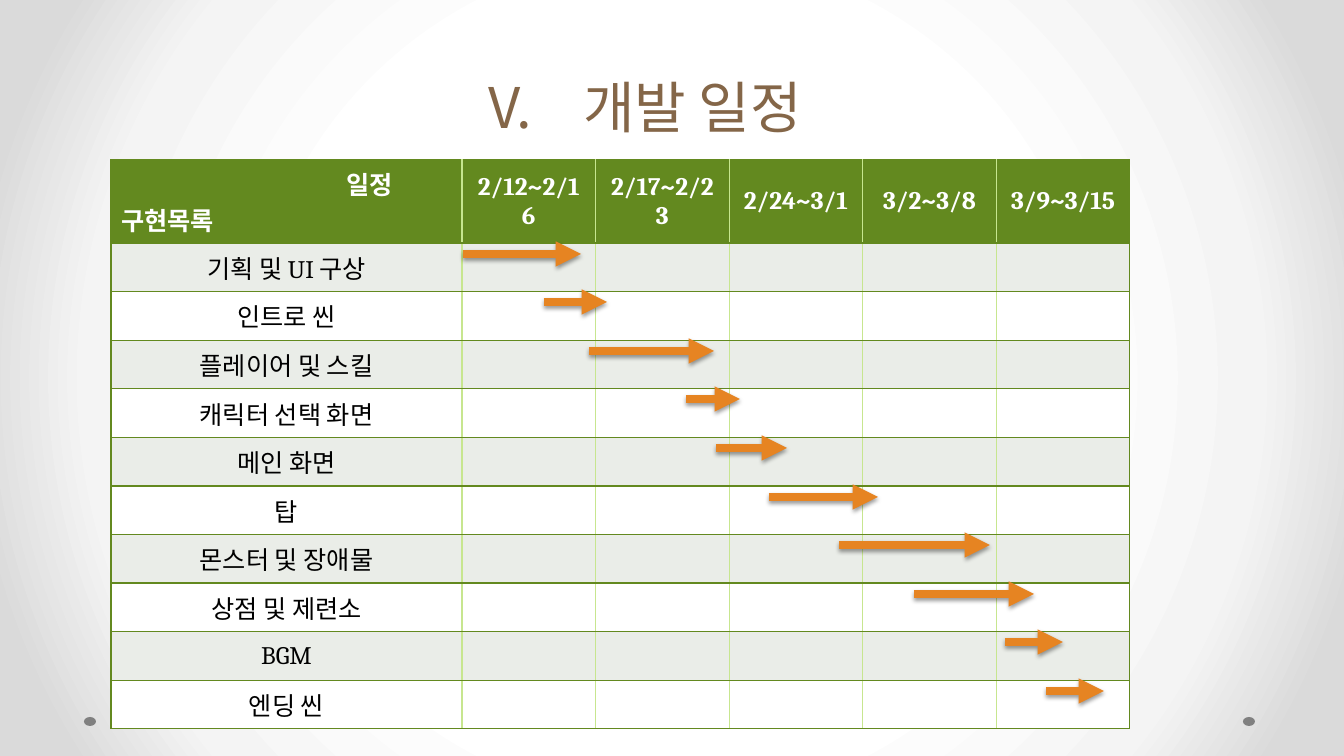
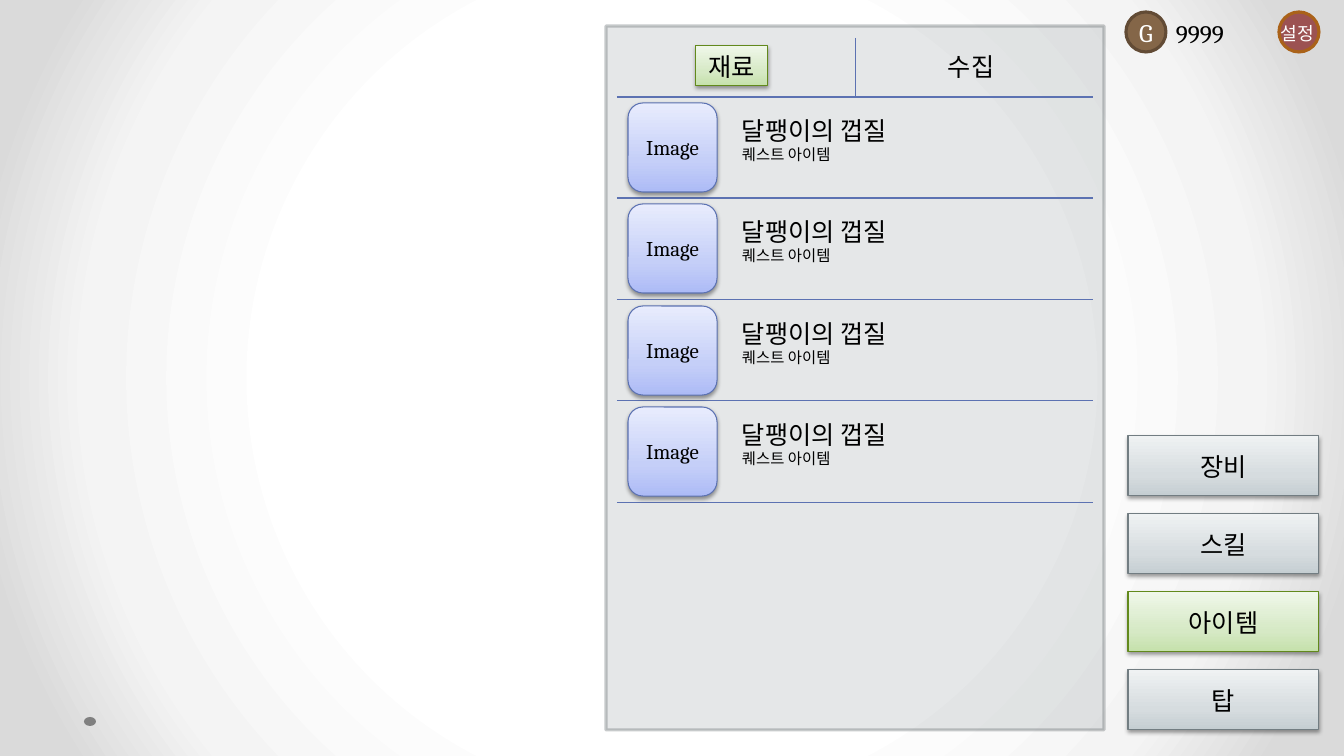
from lxml.etree import SubElement
from pptx import Presentation
from pptx.dml.color import RGBColor
from pptx.enum.shapes import MSO_CONNECTOR, MSO_SHAPE
from pptx.enum.text import MSO_ANCHOR, MSO_AUTO_SIZE, PP_ALIGN
from pptx.oxml.ns import qn
from pptx.util import Emu, Pt

SCALE = 9144000 / 1008
LATIN = "Cambria"
KOREAN = "Noto Sans CJK KR"

WHITE = RGBColor(0xFF, 0xFF, 0xFF)
BLACK = RGBColor(0x00, 0x00, 0x00)
MIST = RGBColor(0xF4, 0xF4, 0xF4)
SILVER = RGBColor(0xDA, 0xDA, 0xDA)
DOT_GRAY = RGBColor(0x80, 0x80, 0x80)
BROWN = RGBColor(0x84, 0x66, 0x48)
DARK_BROWN = RGBColor(0x62, 0x4B, 0x35)
GREEN = RGBColor(0x63, 0x89, 0x1F)
LIME = RGBColor(0xC7, 0xE6, 0x8F)
BAND = RGBColor(0xEA, 0xED, 0xE8)
ORANGE = RGBColor(0xE6, 0x84, 0x22)
RED = RGBColor(0x9C, 0x52, 0x52)
RUST = RGBColor(0xAA, 0x62, 0x19)
BLUE = RGBColor(0x5C, 0x72, 0xB2)
PANEL = RGBColor(0x75, 0x80, 0x85)
PANEL_EDGE = RGBColor(0x57, 0x5F, 0x62)
GRAY_EDGE = RGBColor(0x72, 0x7D, 0x82)
GREEN_EDGE = RGBColor(0x62, 0x89, 0x1C)

BACKDROP = ((50, WHITE), (76, MIST), (92, SILVER))
GRAY_GLOSS = ((0, RGBColor(0xC5, 0xCE, 0xD2)), (35, RGBColor(0xD6, 0xDC, 0xDF)),
              (100, RGBColor(0xEF, 0xF2, 0xF3)))
GREEN_GLOSS = ((0, RGBColor(0xC5, 0xE1, 0xAB)), (35, RGBColor(0xD6, 0xE9, 0xC5)),
               (100, RGBColor(0xEF, 0xF7, 0xE9)))
BLUE_GLOSS = ((0, RGBColor(0xAD, 0xBB, 0xF6)), (35, RGBColor(0xC5, 0xCF, 0xF8)),
              (100, RGBColor(0xE8, 0xEC, 0xFD)))

PERIODS = ("2/12~2/16", "2/17~2/23", "2/24~3/1", "3/2~3/8", "3/9~3/15")
SCHEDULE = (
    ("기획 및 UI 구상", 463, 581),
    ("인트로 씬", 544, 607),
    ("플레이어 및 스킬", 589, 714),
    ("캐릭터 선택 화면", 686, 740),
    ("메인 화면", 716, 787),
    ("탑", 769, 878),
    ("몬스터 및 장애물", 839, 990),
    ("상점 및 제련소", 914, 1034),
    ("BGM", 1005, 1063),
    ("엔딩 씬", 1046, 1104),
)
MENU = (("장비", GRAY_GLOSS, GRAY_EDGE), ("스킬", GRAY_GLOSS, GRAY_EDGE),
        ("아이템", GREEN_GLOSS, GREEN_EDGE), ("탑", GRAY_GLOSS, GRAY_EDGE))
ITEMS = (("달팽이의 껍질", "퀘스트 아이템"),) * 4


def px(n):
    return Emu(round(n * SCALE))


def box(*lengths):
    return [px(n) for n in lengths]


def sub(parent, tag, **attrs):
    child = SubElement(parent, qn(tag))
    for key, value in attrs.items():
        child.set(key, str(value))
    return child


def set_gradient(fill, owner, stops, radial=False):
    fill.gradient()
    grad = owner.find(".//" + qn("a:gradFill"))
    for child in list(grad):
        grad.remove(child)
    gs_lst = sub(grad, "a:gsLst")
    for pos, color in stops:
        sub(sub(gs_lst, "a:gs", pos=pos * 1000), "a:srgbClr", val=color)
    if radial:
        sub(sub(grad, "a:path", path="circle"), "a:fillToRect",
            l=50000, t=50000, r=50000, b=50000)
    else:
        sub(grad, "a:lin", ang=270 * 60000, scaled=0)


def set_effects(shape, shadow):
    effects = sub(shape.element.spPr, "a:effectLst")
    if shadow:
        outer = sub(effects, "a:outerShdw", blurRad=Pt(3.1), dist=Pt(1.6),
                    dir=90 * 60000, rotWithShape=0)
        sub(sub(outer, "a:srgbClr", val=BLACK), "a:alpha", val=38000)


def set_alpha(color_parent, percent):
    color = color_parent.find(qn("a:solidFill")).find(qn("a:srgbClr"))
    sub(color, "a:alpha", val=percent * 1000)


def add_run(p, text, size=18, color=BLACK, bold=False, font=LATIN):
    r = p.add_run()
    r.text = text
    r.font.size = Pt(size)
    r.font.bold = bold
    r.font.color.rgb = color
    r.font.name = font
    sub(r._r.get_or_add_rPr(), "a:ea", typeface=KOREAN)


def add_box(s, kind, bounds, fill, edge=None, width=0.75, text=None, size=18, color=BLACK):
    sp = s.shapes.add_shape(kind, *box(*bounds))
    glossy = isinstance(fill, tuple) and not isinstance(fill, RGBColor)
    if glossy:
        set_gradient(sp.fill, sp.element.spPr, fill)
    else:
        sp.fill.solid()
        sp.fill.fore_color.rgb = fill
    if edge is None:
        sp.line.fill.background()
    else:
        sp.line.color.rgb = edge
        sp.line.width = Pt(width)
    set_effects(sp, glossy)
    if text:
        tf = sp.text_frame
        tf.vertical_anchor = MSO_ANCHOR.MIDDLE
        tf.word_wrap = False
        p = tf.paragraphs[0]
        p.alignment = PP_ALIGN.CENTER
        add_run(p, text, size, color)
    return sp


def add_text(s, bounds, lines, color=BLACK, wrap=False):
    tf = s.shapes.add_textbox(*box(*bounds)).text_frame
    tf.word_wrap = wrap
    for i, (text, size) in enumerate(lines):
        p = tf.add_paragraph() if i else tf.paragraphs[0]
        add_run(p, text, size, color)


def add_line(s, x1, y1, x2, y2, color=BLUE, width=0.75, arrow=False):
    line = s.shapes.add_connector(MSO_CONNECTOR.STRAIGHT, *box(x1, y1, x2, y2))
    line.line.color.rgb = color
    line.line.width = Pt(width)
    if arrow:
        sub(line.line._get_or_add_ln(), "a:tailEnd", type="triangle")
    set_effects(line, arrow)


def style_title(s, text, number):
    title = s.shapes.title
    title.left, title.top, title.width, title.height = box(40, 44, 1210, 101)
    tf = title.text_frame
    tf.auto_size = MSO_AUTO_SIZE.NONE
    tf.word_wrap = True
    tf.vertical_anchor = MSO_ANCHOR.BOTTOM
    p = tf.paragraphs[0]
    p.alignment = PP_ALIGN.CENTER
    p.line_spacing = Pt(58)
    pPr = p._p.get_or_add_pPr()
    pPr.set("marL", str(px(95)))
    pPr.set("indent", str(-px(95)))
    sub(pPr, "a:buFont", typeface="+mj-lt")
    sub(pPr, "a:buAutoNum", type="romanUcPeriod", startAt=number)
    add_run(p, text, 40, BROWN, font=KOREAN)


def style_cell(cell, fill, first, last):
    tcPr = cell._tc.get_or_add_tcPr()
    edges = (("L", GREEN if first else LIME), ("R", GREEN if last else LIME),
             ("T", GREEN), ("B", GREEN))
    for side, color in edges:
        ln = sub(tcPr, "a:ln" + side, w=Pt(1))
        sub(sub(ln, "a:solidFill"), "a:srgbClr", val=color)
    cell.fill.solid()
    cell.fill.fore_color.rgb = fill
    cell.vertical_anchor = MSO_ANCHOR.MIDDLE


def fill_cell(cell, text, color, bold):
    p = cell.text_frame.paragraphs[0]
    p.alignment = PP_ALIGN.CENTER
    add_run(p, text, 18, color, bold)


def fill_corner(cell):
    cell.vertical_anchor = MSO_ANCHOR.TOP
    p = cell.text_frame.paragraphs[0]
    p._p.get_or_add_pPr().set("marL", str(px(225)))
    add_run(p, "일정", 18, WHITE, True)
    add_run(cell.text_frame.add_paragraph(), "구현목록", 18, WHITE, True)


def add_schedule_table(s):
    n_rows, n_cols = len(SCHEDULE) + 1, len(PERIODS) + 1
    table = s.shapes.add_table(n_rows, n_cols, *box(111, 160, 1019, 569)).table
    table.horz_banding = False
    for i, col in enumerate(table.columns):
        col.width = px(668 / len(PERIODS)) if i else px(351)
    for i, row in enumerate(table.rows):
        row.height = px(486 / len(SCHEDULE)) if i else px(83)
        fill = GREEN if i == 0 else BAND if i % 2 else WHITE
        for j, cell in enumerate(row.cells):
            style_cell(cell, fill, j == 0, j == n_cols - 1)
    fill_corner(table.cell(0, 0))
    for j, period in enumerate(PERIODS, 1):
        fill_cell(table.cell(0, j), period, WHITE, True)
    for i, (task, _, _) in enumerate(SCHEDULE, 1):
        fill_cell(table.cell(i, 0), task, BLACK, False)


def add_schedule_slide(prs):
    s = prs.slides.add_slide(prs.slide_layouts[5])
    style_title(s, "개발 일정", 5)
    add_schedule_table(s)
    for i, (_, start, end) in enumerate(SCHEDULE):
        y = 254 + i * 486 // len(SCHEDULE)
        add_line(s, start, y, end, y, ORANGE, 6, arrow=True)


def add_item(s, top, name, kind):
    add_box(s, MSO_SHAPE.ROUNDED_RECTANGLE, (628, top + 6, 89, 89), BLUE_GLOSS, BLUE,
            text="Image", size=15)
    add_text(s, (732, top + 13, 282, 59), ((name, 18), (kind, 11)), wrap=True)


def add_inventory_slide(prs):
    s = prs.slides.add_slide(prs.slide_layouts[6])
    for i, (label, gloss, edge) in enumerate(MENU):
        add_box(s, MSO_SHAPE.RECTANGLE, (1128, 436 + 78 * i, 191, 60), gloss, edge, text=label)
    add_box(s, MSO_SHAPE.OVAL, (1279, 12, 40, 40), RED, RUST, 2.25)
    add_text(s, (1271, 17, 57, 32), (("설정", 13),), WHITE)
    add_box(s, MSO_SHAPE.OVAL, (1126, 12, 40, 40), BROWN, DARK_BROWN, 2.25, "G", color=WHITE)
    add_text(s, (1166, 13, 77, 40), (("9999", 18),))

    panel = add_box(s, MSO_SHAPE.RECTANGLE, (606, 26, 498, 704), PANEL, PANEL_EDGE, 2.25)
    set_alpha(panel.element.spPr, 19)
    set_alpha(panel.element.spPr.find(qn("a:ln")), 33)
    add_box(s, MSO_SHAPE.RECTANGLE, (696, 46, 72, 40), GREEN_GLOSS, GREEN_EDGE, text="재료")
    add_text(s, (938, 46, 72, 40), (("수집", 18),))
    add_line(s, 856, 38, 856, 96)

    tops = [97 + i * 203 // 2 for i in range(len(ITEMS) + 1)]
    for y in tops:
        add_line(s, 617, y, 1093, y)
    for top, (name, kind) in zip(tops, ITEMS):
        add_item(s, top, name, kind)
    return s


def style_master(prs, s):
    master = prs.slide_master
    set_gradient(master.background.fill, master.element, BACKDROP, radial=True)
    for left in (84, 1243):
        dot = add_box(s, MSO_SHAPE.OVAL, (left, 717, 12, 9), DOT_GRAY)
        master.shapes.element.append(dot.element)


def main():
    prs = Presentation()
    prs.slide_width, prs.slide_height = box(1344, 756)
    add_schedule_slide(prs)
    s = add_inventory_slide(prs)
    style_master(prs, s)
    prs.save("out.pptx")


main()
